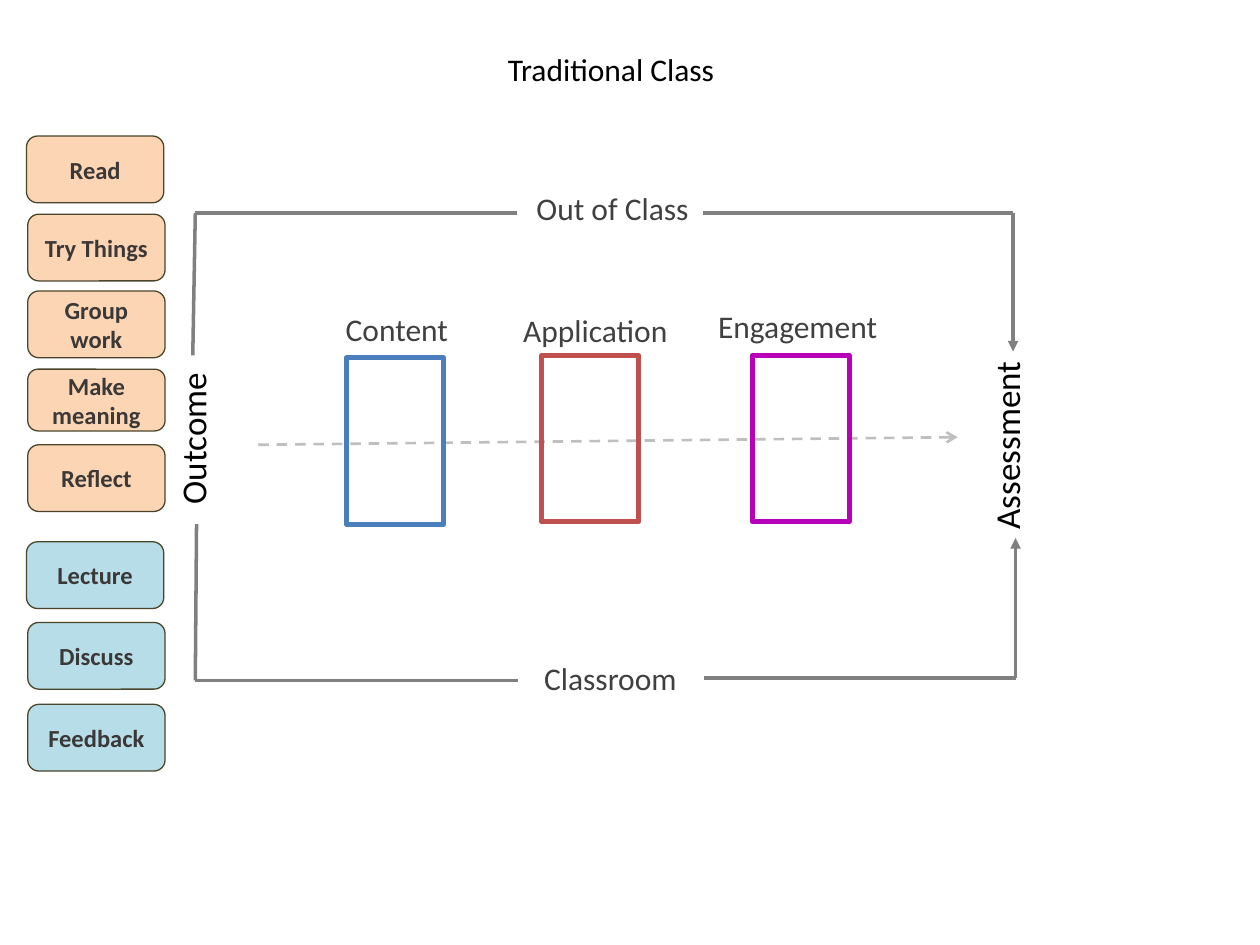
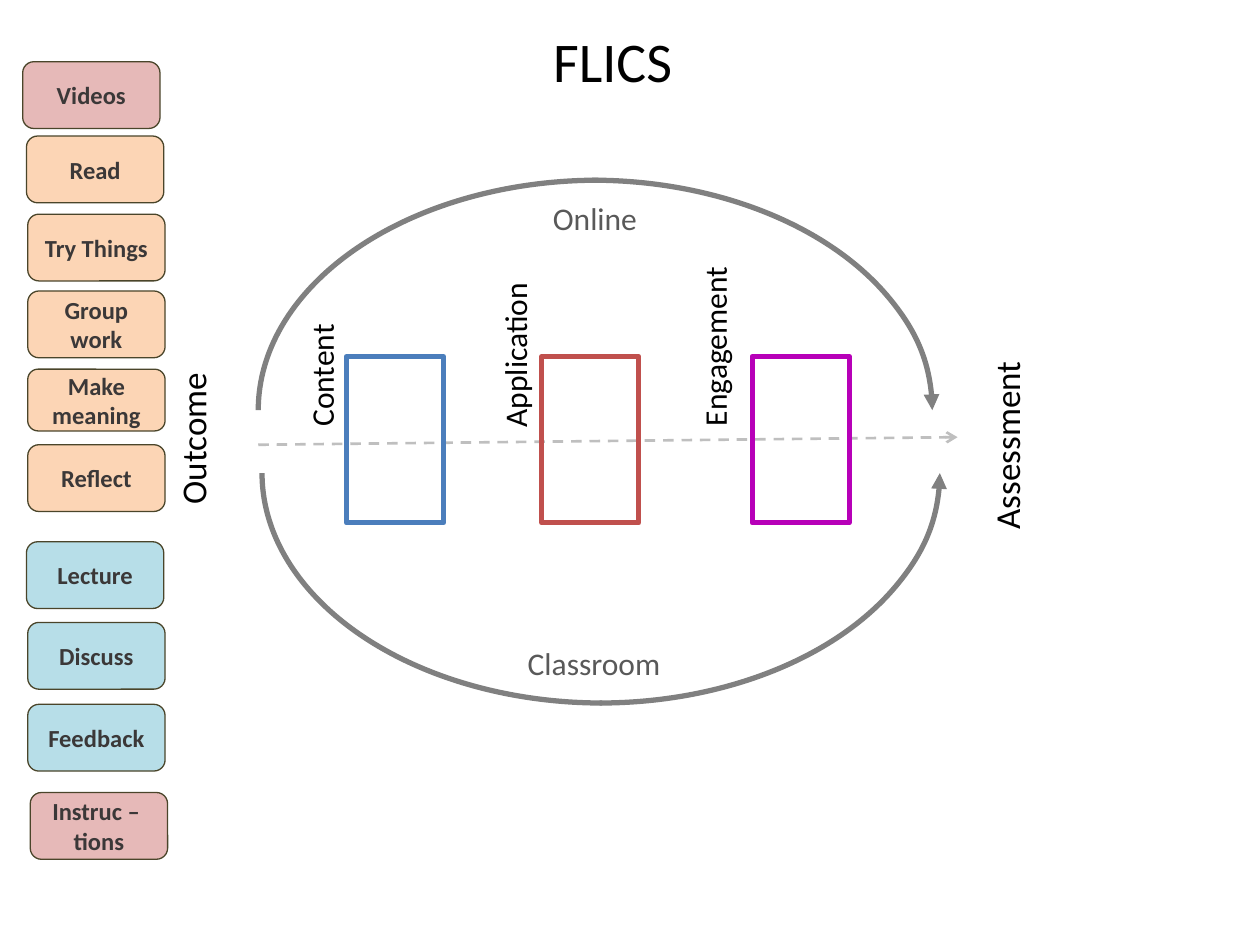
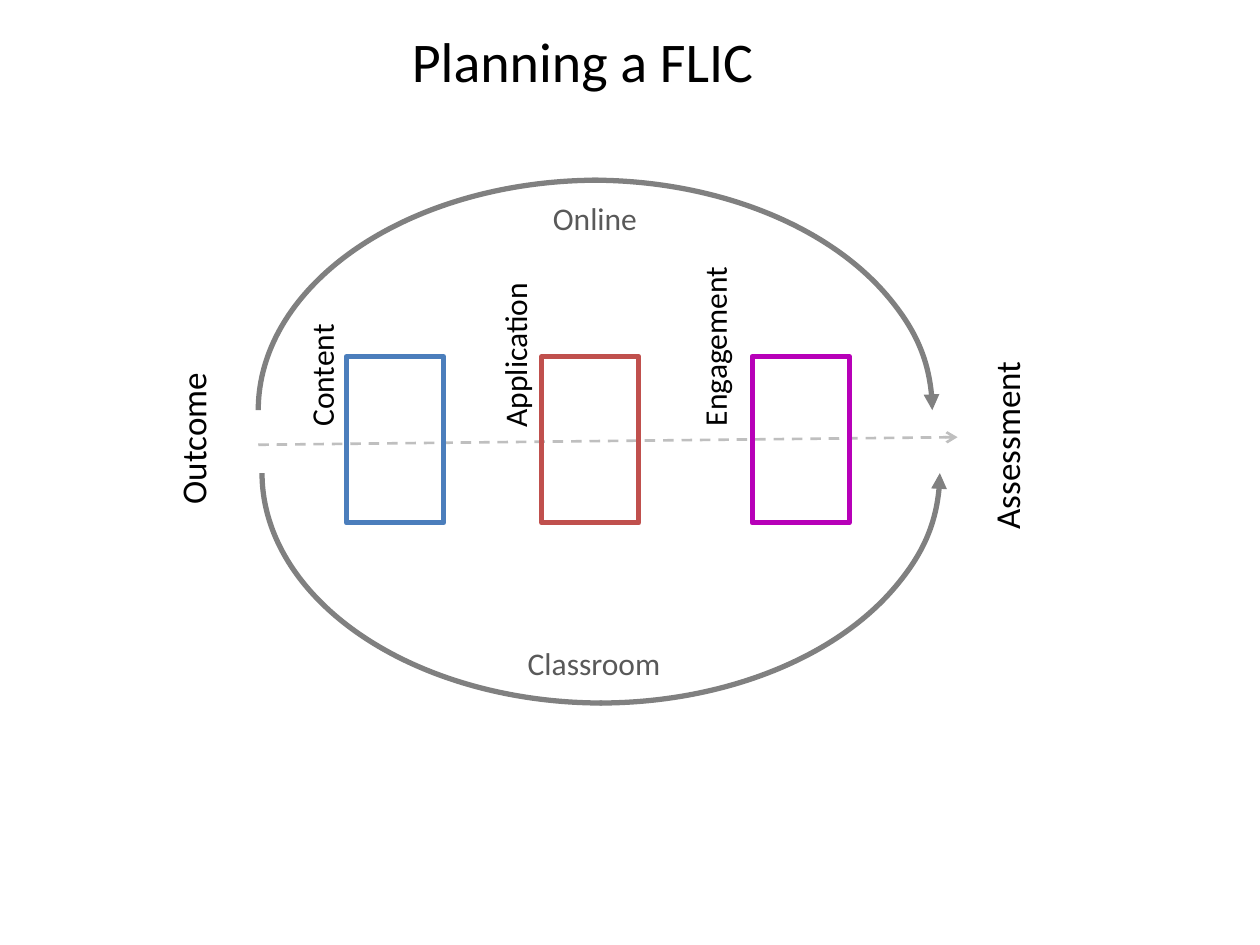
import pptx
import pptx.util
import pptx.dml.color
import pptx.enum.dml
import pptx.enum.shapes
import pptx.enum.text
import pptx.oxml.ns
import lxml.etree

Inches = pptx.util.Inches
SHAPE = pptx.enum.shapes.MSO_SHAPE
ALIGN = pptx.enum.text.PP_ALIGN
ANCHOR = pptx.enum.text.MSO_ANCHOR

FONT = "Calibri"
BLACK, DARK, MID, GRAY, PALE = "000000", "404040", "595959", "808080", "BFBFBF"
EDGE, INK = "4A452A", "3B3838"
PEACH, SKY, ROSE = "FCD5B5", "B7DEE8", "E6B9B8"

STAGES = [
    ("Content", "4B7EBC", 0, 1.2),
    ("Application", "C0504D", 1.55, 1.59),
    ("Engagement", "B700B8", 3.22, 1.78),
]
CARDS = [
    ("Read", PEACH, 0, 0, 0.53),
    ("Try Things", PEACH, 0.01, 0.62, 0.53),
    ("Group\nwork", PEACH, 0.01, 1.23, 0.53),
    ("Make meaning", PEACH, 0.01, 1.85, 0.49),
    ("Reflect", PEACH, 0.01, 2.45, 0.53),
    ("Lecture", SKY, 0, 3.22, 0.53),
    ("Discuss", SKY, 0.01, 3.86, 0.53),
    ("Feedback", SKY, 0.01, 4.51, 0.53),
]
EXTRAS = [
    ("Videos", ROSE, -0.03, -0.59, 0.53),
    ("Instruc – \vtions", ROSE, 0.03, 5.21, 0.53),
]
DECK_BOX = (0.21, 1.08, 1.09, 5.04)
STAGE_BOX = (2.75, 2.83, 3.99, 1.32)
AXIS_BOX = (2.05, 3.47, 5.55, 0.06)
FRAME_BOX = (1.55, 1.69, 6.49, 3.71)
LOOP_BOX = (2, 1.43, 5.4, 3.65)


def color(target, value):
    """Give a fill or font colour from a hex string."""
    target.rgb = pptx.dml.color.RGBColor.from_string(value)


def write(shape, text, size=18, ink=BLACK, bold=False, align=ALIGN.LEFT, anchor=ANCHOR.TOP):
    """Put formatted text into a shape."""
    frame = shape.text_frame
    frame.word_wrap = True
    frame.auto_size = pptx.enum.text.MSO_AUTO_SIZE.NONE
    frame.vertical_anchor = anchor
    frame.text = text
    for para in frame.paragraphs:
        para.alignment = align
        for run in para.runs:
            run.font.name = FONT
            run.font.size = pptx.util.Pt(size)
            run.font.bold = bold
            color(run.font.color, ink)


def label(slide, text, x, y, w, h=0.4, turn=0, **style):
    """Add a text box, turned if asked."""
    box = slide.shapes.add_textbox(*map(Inches, (x, y, w, h)))
    box.rotation = turn
    write(box, text, **style)


def stroke(shape, hue, width, tip=None):
    """Style an outline and its arrowhead."""
    shape.line.width = pptx.util.Pt(width)
    shape.line.fill.solid()
    color(shape.line.fill.fore_color, hue)
    if tip:
        line = shape.line._get_or_add_ln()
        lxml.etree.SubElement(line, pptx.oxml.ns.qn("a:tailEnd"), type=tip)


def draw(slide, kind, box, hue, width, fill=None, tip=None):
    """Add an outlined shape with an optional fill."""
    shape = slide.shapes.add_shape(kind, *map(Inches, box))
    shape.shadow.inherit = False
    if fill:
        shape.fill.solid()
        color(shape.fill.fore_color, fill)
    else:
        shape.fill.background()
    stroke(shape, hue, width, tip)
    return shape


def link(slide, start, end, hue=GRAY, width=2, tip=None, dash=False):
    """Add a straight line between two points."""
    line = slide.shapes.add_connector(
        pptx.enum.shapes.MSO_CONNECTOR.STRAIGHT, *map(Inches, (*start, *end)))
    if dash:
        line.line.dash_style = pptx.enum.dml.MSO_LINE.DASH
    stroke(line, hue, width, tip)
    lxml.etree.SubElement(line._element.spPr, pptx.oxml.ns.qn("a:effectLst"))


def head(slide, text, box, **style):
    """Fill and place the title."""
    title = slide.shapes.title
    title.left, title.top, title.width, title.height = map(Inches, box)
    write(title, text, **style)


def deck(slide, box, cards):
    """Stack the activity cards."""
    x, y, w, _ = box
    for text, fill, dx, dy, h in cards:
        card = draw(slide, SHAPE.ROUNDED_RECTANGLE, (x + dx, y + dy, w, h), EDGE, 0.75, fill)
        write(card, text, size=14, ink=INK, bold=True, align=ALIGN.CENTER, anchor=ANCHOR.MIDDLE)


def axis(slide, box):
    """Draw the dashed arrow from outcome to assessment."""
    x, y, w, h = box
    link(slide, (x, y + h), (x + w, y), PALE, 1.5, "arrow", dash=True)
    label(slide, "Outcome", x - 1.16, y - 0.23, 1.28, 0.44, 270, size=20)
    label(slide, "Assessment", x + w - 0.43, y - 0.21, 1.64, 0.44, 270, size=20)


def stages(slide, box, places, turn=0, ink=BLACK):
    """Draw the three stages; places give label and box offsets."""
    x, y, _, h = box
    for (text, hue, dx, w), (tx, ty, shift) in zip(STAGES, places):
        draw(slide, SHAPE.RECTANGLE, (x + dx, y + shift, 0.77, h), hue, 3)
        label(slide, text, x + dx + tx, y + ty, w, turn=turn, ink=ink, align=ALIGN.CENTER)


def frame(slide, box):
    """Draw the square routes of a traditional class."""
    x, y, w, h = box
    right, base = x + w, y + h
    low = (right + 0.02, base - 0.02)
    link(slide, (x, y), (x - 0.02, y + 1.13))
    link(slide, (x, y), (x + 2.55, y))
    link(slide, (right - 2.46, y), (right, y))
    link(slide, (right, y), (right, y + 1.1), tip="triangle")
    link(slide, (x, base), (x + 0.01, base - 1.24))
    link(slide, (x, base), (x + 2.56, base))
    link(slide, (right - 2.45, low[1]), low)
    link(slide, low, (low[0], base - 1.13), tip="triangle")
    label(slide, "Out of Class", x + 2.61, y - 0.24, 1.57, ink=DARK)
    label(slide, "Classroom", x + 2.67, base - 0.22, 1.34, ink=DARK)


def loop(slide, box):
    """Draw the curved online and classroom routes."""
    x, y, w, h = box
    arcs = [
        (0.06, 0.5, "flipV"), (0.08, 0.5, "flipH flipV"),
        (0, 0, ""), (0.05, 0, "flipH"),
    ]
    for dx, dy, flips in arcs:
        tip = None if "flipH" in flips else "triangle"
        arc = draw(slide, SHAPE.ARC, (x + dx, y + dy, w, h), GRAY, 3, tip=tip)
        for flip in flips.split():
            arc._element.spPr.xfrm.set(flip, "1")
    label(slide, "Online", x + 2.29, y + 0.1, 0.94, ink=MID)
    label(slide, "Classroom", x + 2.09, y + h - 0.02, 1.34, ink=MID)


def classic(slide):
    """Build the traditional class slide."""
    head(slide, "Traditional Class", (3.93, 0.35, 1.88, 0.4))
    deck(slide, DECK_BOX, CARDS)
    axis(slide, AXIS_BOX)
    frame(slide, FRAME_BOX)
    places = [(-0.2, -0.42, 0.01), (-0.37, -0.41, -0.01), (-0.53, -0.44, -0.01)]
    stages(slide, STAGE_BOX, places, ink=DARK)


def flipped(slide, text, box, cards=(), align=ALIGN.LEFT):
    """Build a slide with the curved routes."""
    head(slide, text, box, size=32, align=align)
    axis(slide, AXIS_BOX)
    loop(slide, LOOP_BOX)
    places = [(-0.8, -0.05, 0), (-1.01, -0.21, 0), (-1.19, -0.28, 0)]
    stages(slide, STAGE_BOX, places, turn=270)
    deck(slide, DECK_BOX, cards)


def main():
    """Build and save the slides."""
    show = pptx.Presentation()
    show.slide_width, show.slide_height = Inches(10), Inches(7.5)
    first, second, third = [show.slides.add_slide(show.slide_layouts[5]) for _ in range(3)]
    classic(first)
    flipped(second, "FLICS", (4.29, 0.16, 1.68, 0.64), CARDS + EXTRAS)
    flipped(third, "Planning a FLIC", (2.51, 0.16, 4.23, 0.64), align=ALIGN.CENTER)
    show.save("out.pptx")


if __name__ == "__main__":
    main()
